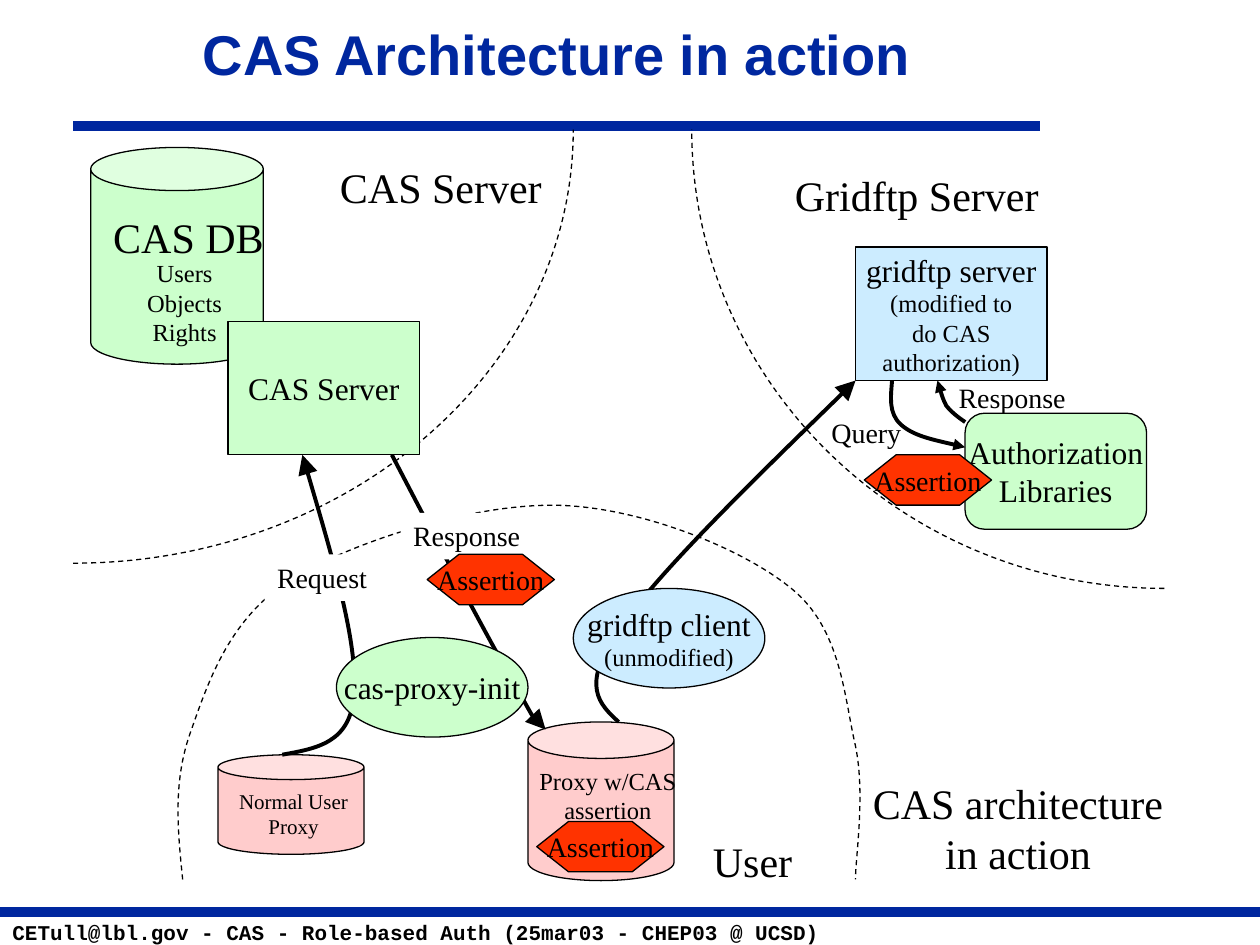
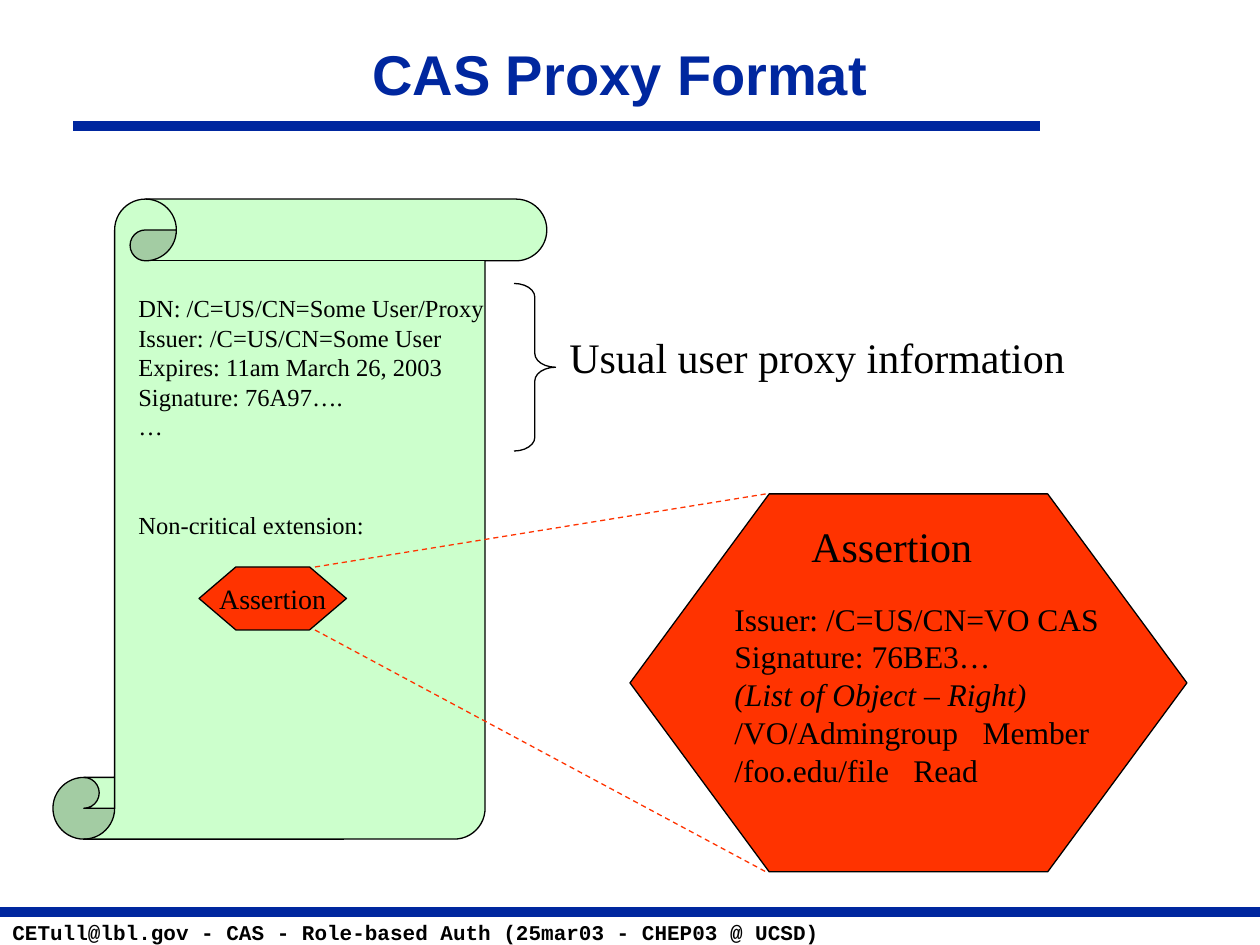
"""Build two slides on the CAS architecture and its proxy format."""
import lxml.etree
import pptx
import pptx.dml.color
import pptx.enum.dml
import pptx.enum.shapes
import pptx.enum.text
import pptx.oxml.ns
import pptx.util

Inches = pptx.util.Inches
SHAPES = pptx.enum.shapes.MSO_SHAPE
ALIGN = pptx.enum.text.PP_ALIGN
ANCHOR = pptx.enum.text.MSO_ANCHOR
qn = pptx.oxml.ns.qn

NAVY, BLACK, WHITE = "00279F", "000000", "FFFFFF"
GREEN, BLUE, PINK, RED = "CCFFCC", "CCECFF", "FFCCCC", "FF3300"
BODY, HEADING, FOOTER = "Times New Roman", "Arial", "Courier New"
FOOTER_TEXT = "CETull@lbl.gov - CAS - Role-based Auth (25mar03 - CHEP03 @ UCSD)"
RULES = [(10, 7.24, -0.01, 7.24), (0.58, 1, 8.25, 1)]

SMALL = {"size": 14}
CENTERED = {"align": ALIGN.CENTER}
DASHED = {"width": 0.75, "dash": True}
ARROW = {"width": 2.25, "arrow": "med"}
LARGE_ARROW = {"width": 2.25, "arrow": "lg"}

ARCHITECTURE = [
    ("curve", [(1.45, 6.98), (1.41, 6.58), (1.37, 6.19), (1.52, 5.79),
               (1.66, 5.39), (1.83, 4.9), (2.31, 4.6),
               (2.79, 4.3), (3.74, 4), (4.41, 4.01),
               (5.07, 4.02), (5.89, 4.35), (6.28, 4.67),
               (6.68, 4.99), (6.7, 5.54), (6.79, 5.92),
               (6.87, 6.31), (6.79, 6.8), (6.79, 6.98)], DASHED),
    ("curve", [(4.91, 5.73), (4.76, 5.59), (4.6, 5.45), (4.91, 5),
               (5.22, 4.55), (6.01, 3.78), (6.79, 3.02)], LARGE_ARROW),
    ("shape", SHAPES.CAN, (4.19, 5.73, 1.16, 1.26), PINK, []),
    ("shape", SHAPES.CAN, (1.73, 5.99, 1.16, 0.79), PINK, []),
    ("label", (1.8, 6.21, 1.06, 0.5), ["Normal User", "Proxy"],
     {"size": 12, "fill": PINK, **CENTERED}),
    ("label", (4.18, 6.03, 1.29, 0.57), ["Proxy w/CAS\vassertion"], {**SMALL, **CENTERED}),
    ("shape", SHAPES.CAN, (0.72, 1.17, 1.37, 1.72), GREEN, []),
    ("label", (0.8, 1.63, 1.39, 0.5), ["CAS DB"], {"size": 24}),
    ("label", (1.07, 2, 0.79, 0.8), ["Users", "Objects", "Rights"], {**SMALL, **CENTERED}),
    ("curve", [(2.24, 5.99), (2.51, 5.94), (2.79, 5.9), (2.81, 5.5),
               (2.84, 5.1), (2.62, 4.36), (2.4, 3.61)], LARGE_ARROW),
    ("curve", [(3.11, 3.61), (3.49, 4.34), (3.88, 5.08), (4.09, 5.44),
               (4.29, 5.8), (4.31, 5.8), (4.33, 5.79)], LARGE_ARROW),
    ("shape", SHAPES.OVAL, (2.67, 5.06, 1.52, 0.79), GREEN, ["cas-proxy-init"]),
    ("shape", SHAPES.OVAL, (4.55, 4.67, 1.52, 0.79), BLUE,
     ["gridftp client", ("(unmodified)", SMALL)]),
    ("shape", SHAPES.RECTANGLE, (6.79, 1.96, 1.52, 1.06), BLUE,
     ["gridftp server", ("(modified to", SMALL), ("do CAS", SMALL), ("authorization)", SMALL)]),
    ("shape", SHAPES.ROUNDED_RECTANGLE, (7.66, 3.28, 1.44, 0.92), GREEN,
     ["Authorization", "Libraries"]),
    ("label", (6.83, 6.12, 2.5, 0.9), ["CAS architecture", "in action"],
     {"size": 24, **CENTERED}),
    ("curve", [(0.58, 4.47), (2.77, 4.47), (4.55, 2.93), (4.55, 1.03)], DASHED),
    ("curve", [(9.24, 4.67), (7.17, 4.67), (5.49, 3.04), (5.49, 1.03)], DASHED),
    ("label", (2.6, 1.23, 1.8, 0.5), ["CAS Server"], {"size": 24}),
    ("label", (6.21, 1.3, 2.13, 0.5), ["Gridftp Server"], {"size": 24}),
    ("shape", SHAPES.RECTANGLE, (1.81, 2.55, 1.52, 1.06), GREEN, ["CAS Server"]),
    ("label", (2.1, 4.4, 0.91, 0.37), ["Request"], {"size": 16, "fill": WHITE}),
    ("label", (3.18, 4.07, 1.05, 0.37), ["Response"], {"size": 16, "fill": WHITE}),
    ("assertion", (3.39, 4.4, 1.01, 0.4), ["Assertion"]),
    ("assertion", (4.26, 6.52, 1.01, 0.4), ["Assertion"]),
    ("assertion", (6.86, 3.61, 1.01, 0.4), ["Assertion"]),
    ("curve", [(7.08, 3.02), (7.07, 3.15), (7.05, 3.28), (7.15, 3.37),
               (7.25, 3.46), (7.45, 3.5), (7.66, 3.55)], ARROW),
    ("label", (6.5, 3.25, 0.75, 0.37), ["Query"], {"size": 16}),
    ("curve", [(7.66, 3.35), (7.6, 3.31), (7.55, 3.27), (7.51, 3.22),
               (7.48, 3.16), (7.46, 3.09), (7.44, 3.02)], ARROW),
    ("label", (7.51, 2.97, 1.05, 0.37), ["Response"], {"size": 16}),
    ("label", (5.56, 6.58, 0.83, 0.5), ["User"], {"size": 24}),
]

PROXY_FORMAT = [
    ("shape", SHAPES.VERTICAL_SCROLL, (0.42, 1.58, 3.92, 5.08), GREEN, []),
    ("assertion", (1.58, 4.5, 1.17, 0.5), ["Assertion"]),
    ("label", (1, 2.28, 2.94, 1.27),
     ["DN: /C=US/CN=Some User/Proxy", "Issuer: /C=US/CN=Some User",
      "Expires: 11am March 26, 2003", "Signature: 76A97….", "…"], SMALL),
    ("shape", SHAPES.RIGHT_BRACE, (4.08, 2.25, 0.33, 1.33), None, [], 0.33),
    ("label", (4.42, 2.58, 4.13, 0.5), ["Usual user proxy information"], {"size": 24}),
    ("label", (1, 4, 1.99, 0.34), ["Non-critical extension:"], SMALL),
    ("assertion", (5, 3.92, 4.42, 3), []),
    ("label", (6.34, 4.08, 1.48, 0.5), ["Assertion"], {"size": 24}),
    ("label", (5.73, 4.71, 3.09, 1.6),
     ["Issuer: /C=US/CN=VO CAS", "Signature: 76BE3…",
      ("(List of Object – Right)", {"italic": True}),
      ("/VO/Admingroup\tMember", {"tab": 1.97}),
      ("/foo.edu/file\tRead", {"tab": 1.42})], {"size": 18}),
    ("line", (2.5, 4.5, 6.08, 3.92), RED, DASHED),
    ("line", (2.5, 5, 6.08, 6.92), RED, DASHED),
]

SLIDES = [
    ("CAS Architecture in action", (0.67, 0.06, 7.5, 0.81), ARCHITECTURE),
    ("CAS Proxy Format", (0.67, 0, 8.5, 1.25), PROXY_FORMAT),
]


def rgb(value):
    return pptx.dml.color.RGBColor.from_string(value)


def inches(values):
    return [Inches(value) for value in values]


def style_line(line, color=BLACK, width=0.75, dash=False, arrow=None):
    line.color.rgb = rgb(color)
    line.width = pptx.util.Pt(width)
    if dash:
        line.dash_style = pptx.enum.dml.MSO_LINE.DASH
    if arrow:
        lxml.etree.SubElement(line._get_or_add_ln(), qn("a:tailEnd"),
                              type="triangle", w=arrow, len=arrow)


def style_fill(shape, color):
    if color:
        shape.fill.solid()
        shape.fill.fore_color.rgb = rgb(color)
    else:
        shape.fill.background()


def write(frame, rows, size=18, align=ALIGN.LEFT, font=BODY, color=BLACK, bold=False):
    for index, row in enumerate(rows):
        text, extra = row if isinstance(row, tuple) else (row, {})
        para = frame.paragraphs[0] if index == 0 else frame.add_paragraph()
        para.text = text
        para.alignment = align
        if "tab" in extra:
            tabs = lxml.etree.SubElement(para._p.get_or_add_pPr(), qn("a:tabLst"))
            lxml.etree.SubElement(tabs, qn("a:tab"), pos=str(Inches(extra["tab"])), algn="l")
        para.font.name = font
        para.font.size = pptx.util.Pt(extra.get("size", size))
        para.font.bold = bold
        para.font.italic = extra.get("italic", False)
        para.font.color.rgb = rgb(color)


def add_label(page, place, rows, style):
    style = dict(style)
    box = page.shapes.add_textbox(*inches(place))
    style_fill(box, style.pop("fill", None))
    frame = box.text_frame
    frame.word_wrap = False
    frame.auto_size = pptx.enum.text.MSO_AUTO_SIZE.NONE
    frame.margin_left = Inches(0 if style.get("align") == ALIGN.CENTER else 0.1)
    frame.margin_right = 0
    write(frame, rows, **style)


def add_shape(page, preset, place, fill, rows, adjustment=None, size=18):
    shape = page.shapes.add_shape(preset, *inches(place))
    shape.shadow.inherit = False
    style_fill(shape, fill)
    style_line(shape.line)
    if adjustment is not None:
        shape.adjustments[0] = adjustment
    shape.text_frame.word_wrap = False
    shape.text_frame.vertical_anchor = ANCHOR.MIDDLE
    write(shape.text_frame, rows, size, ALIGN.CENTER)


def add_assertion(page, place, rows):
    width, height = place[2:]
    add_shape(page, SHAPES.HEXAGON, place, RED, rows, width / 4 / height, 16)


def add_curve(page, points, style):
    start, *others = [inches(point) for point in points]
    builder = page.shapes.build_freeform(*start)
    builder.add_line_segments(others, close=False)
    shape = builder.convert_to_shape()
    shape.shadow.inherit = False
    style_fill(shape, None)
    style_line(shape.line, **style)
    outline = next(shape._element.iter(qn("a:path")))
    segments = outline.findall(qn("a:lnTo"))
    for first in range(0, len(segments), 3):
        bend = lxml.etree.SubElement(outline, qn("a:cubicBezTo"))
        for segment in segments[first:first + 3]:
            bend.append(segment[0])
            outline.remove(segment)


def add_line(page, ends, color, style):
    connector = page.shapes.add_connector(
        pptx.enum.shapes.MSO_CONNECTOR.STRAIGHT, *inches(ends))
    style_line(connector.line, color, **style)
    lxml.etree.SubElement(connector._element.spPr, qn("a:effectLst"))


def add_title(page, text, place):
    box = page.shapes.add_textbox(*inches(place))
    box.text_frame.word_wrap = True
    box.text_frame.vertical_anchor = ANCHOR.MIDDLE
    write(box.text_frame, [text], 32, ALIGN.CENTER, HEADING, NAVY, True)
    box.text_frame.paragraphs[0].line_spacing = 0.85


def add_frame(page):
    for ends in RULES:
        add_line(page, ends, NAVY, {"width": 6})
    add_label(page, (0, 7.25, 6.6, 0.3), [FOOTER_TEXT],
              {"size": 12, "font": FOOTER, "bold": True})


PAINTERS = {"curve": add_curve, "shape": add_shape, "label": add_label,
            "assertion": add_assertion, "line": add_line}


def main():
    deck = pptx.Presentation()
    deck.slide_width, deck.slide_height = Inches(10), Inches(7.5)
    for title, place, parts in SLIDES:
        page = deck.slides.add_slide(deck.slide_layouts[6])
        add_frame(page)
        for kind, *details in parts:
            PAINTERS[kind](page, *details)
        add_title(page, title, place)
    deck.save("out.pptx")


if __name__ == "__main__":
    main()
